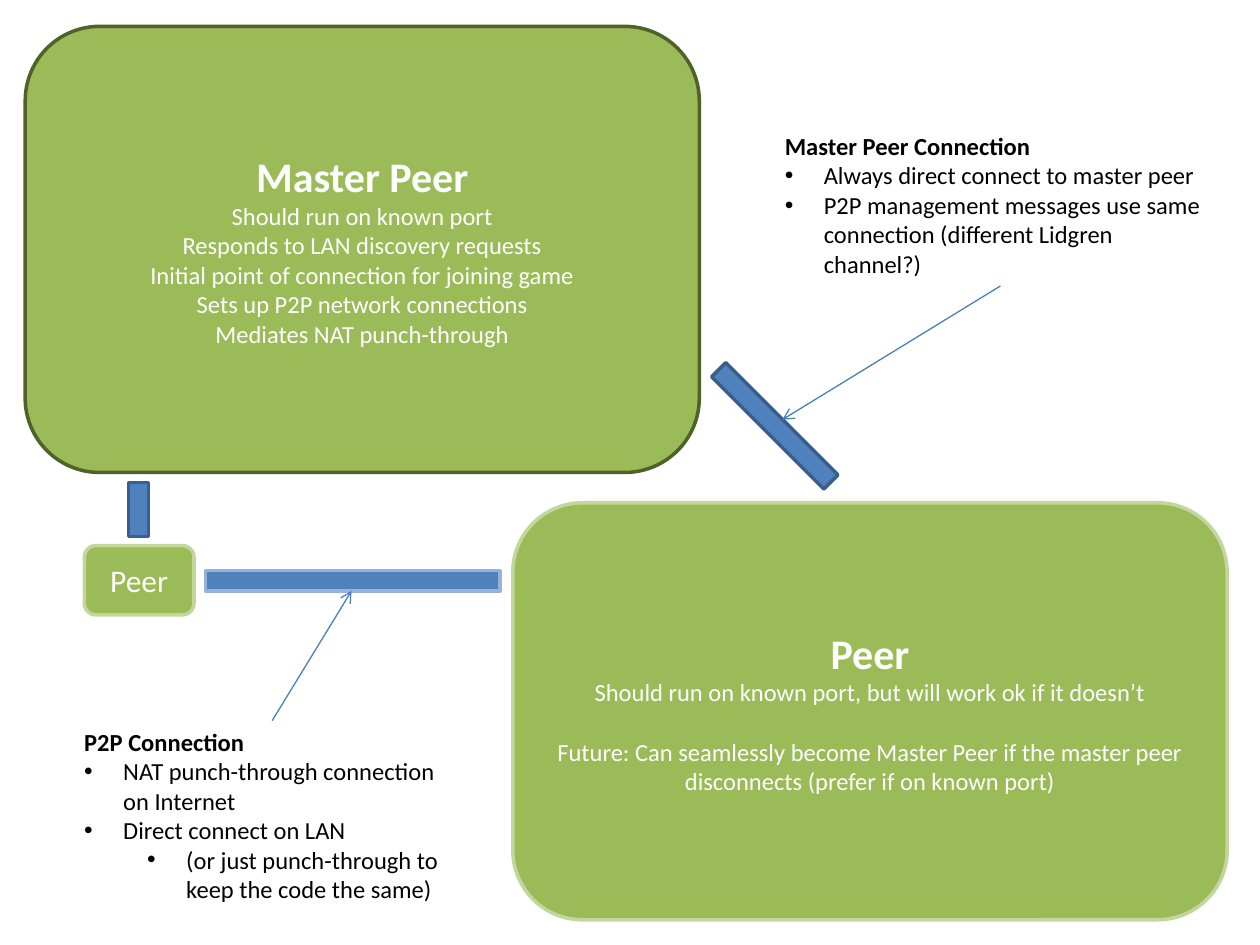
from lxml import etree
from pptx import Presentation
from pptx.dml.color import RGBColor
from pptx.enum.shapes import MSO_CONNECTOR, MSO_SHAPE
from pptx.enum.text import MSO_ANCHOR, MSO_AUTO_SIZE, PP_ALIGN
from pptx.oxml.ns import qn
from pptx.util import Inches, Pt

RECT, ROUND = MSO_SHAPE.RECTANGLE, MSO_SHAPE.ROUNDED_RECTANGLE
STRAIGHT = MSO_CONNECTOR.STRAIGHT
LEFT, CENTER = PP_ALIGN.LEFT, PP_ALIGN.CENTER
MIDDLE = MSO_ANCHOR.MIDDLE
GROW = MSO_AUTO_SIZE.SHAPE_TO_FIT_TEXT
COLS, ROWS = 100, 75


def rgb(value):
    """Turn a hex string into a colour."""
    return RGBColor.from_string(value)


def write(tf, text, size=14, bold=False, color="000000", align=LEFT,
          before=0, level=None, font="Calibri"):
    """Add one formatted paragraph, bulleted when a level is given."""
    p = tf.paragraphs[0]
    if p.runs:
        p = tf.add_paragraph()
    p.alignment = align
    p.space_before = Pt(before)
    r = p.add_run()
    r.text = text
    r.font.name, r.font.size, r.font.bold = font, Pt(size), bold
    r.font.color.rgb = rgb(color)
    if level is not None:
        p.level = level
        pPr = p._p.get_or_add_pPr()
        pPr.set("marL", str(Inches(0.31 + 0.5 * level)))
        pPr.set("indent", str(Inches(-0.31)))
        etree.SubElement(pPr, qn("a:buFont")).set("typeface", "Arial")
        etree.SubElement(pPr, qn("a:buChar")).set("char", "•")


class Diagram:
    """Hold the style and the current slide of the network diagram."""

    GREEN, BLUE, ARROW, WHITE = "9BBB59", "4F81BD", "4B7EBC", "FFFFFF"
    DARK_GREEN, PALE_GREEN = "4F6228", "C3D69B"
    DARK_BLUE, PALE_BLUE = "3A5F8C", "95B3D7"

    def __init__(self, prs):
        """Add a blank slide and size the grid."""
        self.s = prs.slides.add_slide(prs.slide_layouts[6])
        self.col, self.row = prs.slide_width / COLS, prs.slide_height / ROWS

    def grid(self, *cells):
        """Turn alternating columns and rows into lengths."""
        return [round(c * (self.row if i % 2 else self.col))
                for i, c in enumerate(cells)]

    def block(self, kind, cells, fill, line):
        """Draw a filled, outlined shape."""
        sp = self.s.shapes.add_shape(kind, *self.grid(*cells))
        sp.shadow.inherit = False
        sp.fill.solid()
        sp.fill.fore_color.rgb = rgb(fill)
        sp.line.color.rgb = rgb(line)
        sp.line.width = Pt(2)
        return sp

    def peer(self, cells, line, title, body=(), size=24, bold=True, gap=0):
        """Draw a peer node with a title and centred body lines."""
        tf = self.block(ROUND, cells, self.GREEN, line).text_frame
        tf.word_wrap = True
        tf.vertical_anchor = MIDDLE
        write(tf, title, size=size, bold=bold, color=self.WHITE, align=CENTER)
        for i, text in enumerate(body):
            write(tf, text, color=self.WHITE, align=CENTER,
                  before=gap if i else 0)

    def link(self, cells, line, angle=0):
        """Draw a connection bar."""
        self.block(RECT, cells, self.BLUE, line).rotation = angle

    def note(self, cells, title, items):
        """Write a bold heading above bulleted items."""
        tf = self.s.shapes.add_textbox(*self.grid(*cells)).text_frame
        tf.word_wrap = True
        tf.auto_size = GROW
        write(tf, title, bold=True)
        for level, text in items:
            write(tf, text, level=level)

    def arrow(self, cells):
        """Draw a thin arrow from a note to its link."""
        sp = self.s.shapes.add_connector(STRAIGHT, *self.grid(*cells))
        sp.line.color.rgb = rgb(self.ARROW)
        sp.line.width = Pt(0.75)
        ln = sp.line._get_or_add_ln()
        etree.SubElement(ln, qn("a:tailEnd")).set("type", "arrow")
        etree.SubElement(sp._element.spPr, qn("a:effectLst"))


def main():
    """Build the slide and save it."""
    prs = Presentation()
    prs.slide_width, prs.slide_height = Inches(10), Inches(7.5)
    d = Diagram(prs)

    d.peer((2, 2.1, 53.5, 35.4), d.DARK_GREEN, "Master Peer", [
        "Should run on known port",
        "Responds to LAN discovery requests",
        "Initial point of connection for joining game",
        "Sets up P2P network connections",
        "Mediates NAT punch-through"])
    d.peer((40.7, 39.9, 56.7, 33.1), d.PALE_GREEN, "Peer", [
        "Should run on known port, but will work ok if it doesn’t",
        "Future: Can seamlessly become Master Peer if the master peer "
        "disconnects (prefer if on known port)"], gap=17)
    d.peer((6.7, 43.3, 8.7, 5.5), d.PALE_GREEN, "Peer", size=18, bold=False)

    d.link((27.2, 34.4, 1.6, 23.4), d.PALE_BLUE, angle=90)
    d.link((10.2, 38.3, 1.6, 4.3), d.DARK_BLUE)
    d.link((60.7, 27.5, 1.6, 12.6), d.DARK_BLUE, angle=315)

    d.note((5.7, 57.2, 31.7, 15.1), "P2P Connection", [
        (0, "NAT punch-through connection on Internet"),
        (0, "Direct connect on LAN"),
        (1, "(or just punch-through to keep the code the same)")])
    d.note((61.3, 9.9, 36.1, 12.8), "Master Peer Connection", [
        (0, "Always direct connect to master peer"),
        (0, "P2P management messages use same connection "
            "(different Lidgren channel?)")])

    d.arrow((21.6, 57.2, 27.9, 46.9))
    d.arrow((79.4, 22.7, 62.1, 33.3))
    prs.save("out.pptx")


if __name__ == "__main__":
    main()
